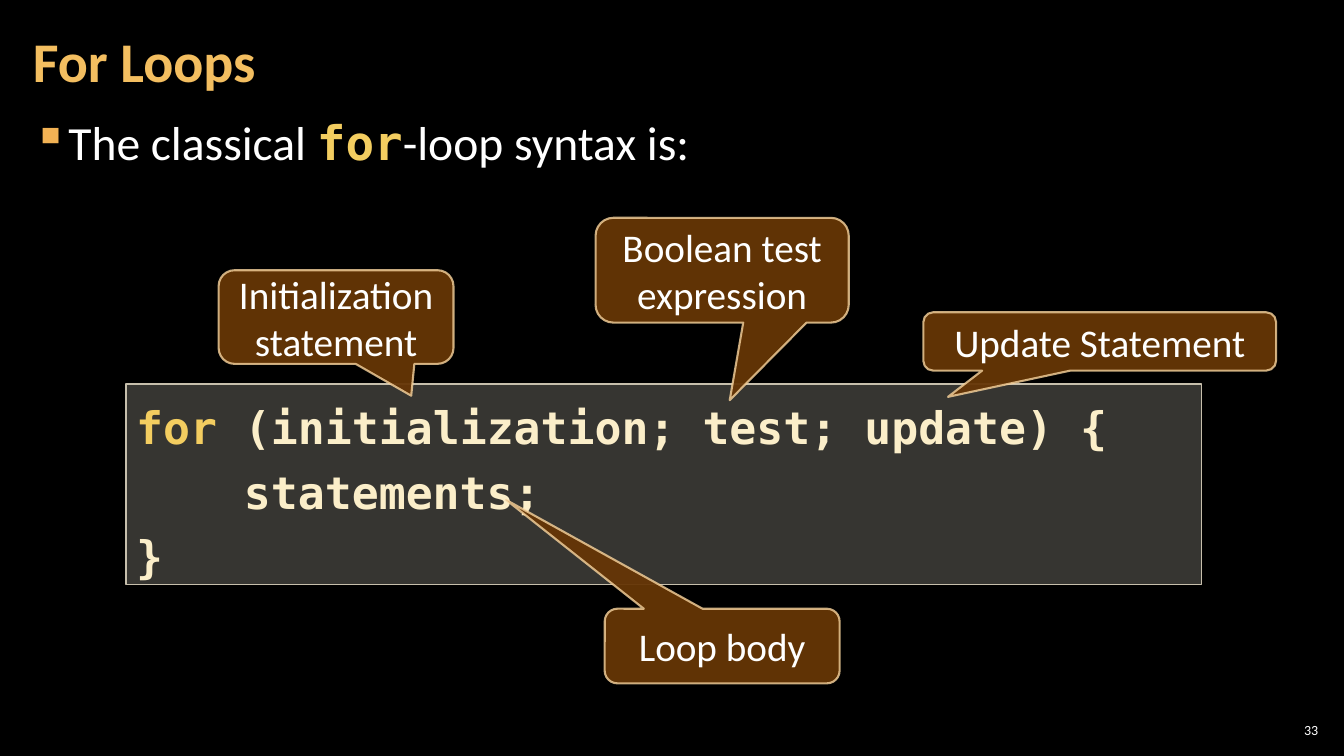
from dataclasses import dataclass

from lxml.etree import SubElement
from pptx import Presentation
from pptx.dml.color import RGBColor
from pptx.enum.shapes import MSO_SHAPE as Preset
from pptx.enum.text import MSO_ANCHOR as Anchor, MSO_AUTO_SIZE as AutoSize, PP_ALIGN as Align
from pptx.oxml.ns import qn
from pptx.util import Cm, Pt

TEXT_FONT = "Calibri"
CODE_FONT = "DejaVu Sans Mono"
WHITE = "FFFFFF"
KEYWORD = "F3CD60"
TIGHT = (0.1, 0.1)
ROOMY = (0.3, 0.1)
NORMAL = (0.25, 0.13)


@dataclass
class Box:
    left: float
    top: float
    width: float
    height: float

    def lengths(self) -> list:
        return [Cm(value) for value in (self.left, self.top, self.width, self.height)]


@dataclass
class TextRun:
    text: str
    size: float
    color: str = WHITE
    font: str = TEXT_FONT
    bold: bool = False


@dataclass
class Callout:
    """A labelled balloon; the tip is offset from its centre in fractions of its size."""
    label: str
    box: Box
    tip_x: float
    tip_y: float


CALLOUTS = [
    Callout("Initialization statement", Box(5.51, 6.81, 5.92, 2.36), 0.32, 0.84),
    Callout("Boolean test expression", Box(15.01, 5.49, 6.38, 2.64), 0.03, 1.24),
    Callout("Update Statement", Box(23.27, 7.87, 8.89, 1.47), -0.43, 0.95),
    Callout("Loop body", Box(15.24, 15.34, 5.92, 1.88), -0.92, -1.96),
]


def rgb(color: str) -> RGBColor:
    return RGBColor.from_string(color)


def set_attributes(target, values: dict) -> None:
    for name, value in values.items():
        setattr(target, name, value)


def set_opacity(properties, percent: int) -> None:
    """Apply opacity to the solid fill directly inside a shape's or line's XML."""
    color = properties.find(qn("a:solidFill")).find(qn("a:srgbClr"))
    SubElement(color, qn("a:alpha"), val=str(percent * 1000))


def write_text(shape, runs: list[TextRun], insets: tuple = NORMAL,
               anchor=Anchor.MIDDLE, **paragraph_format):
    """Fill a shape with one paragraph, turning newlines into line breaks."""
    across, down = map(Cm, insets)
    frame = shape.text_frame
    set_attributes(frame, dict(word_wrap=True, vertical_anchor=anchor,
                               margin_left=across, margin_right=across,
                               margin_top=down, margin_bottom=down))
    paragraph = frame.paragraphs[0]
    set_attributes(paragraph, {"alignment": Align.LEFT, **paragraph_format})
    for item in runs:
        for index, line in enumerate(item.text.split("\n")):
            if index:
                paragraph.add_line_break()
            run = paragraph.add_run()
            run.text = line
            set_attributes(run.font, dict(size=Pt(item.size), name=item.font, bold=item.bold))
            run.font.color.rgb = rgb(item.color)
    return paragraph


def add_panel(slide, preset, box: Box, fill: str, fill_opacity: int,
              line: str, line_width: float, line_opacity: int = 100):
    shape = slide.shapes.add_shape(preset, *box.lengths())
    shape.shadow.inherit = False
    shape.fill.solid()
    shape.fill.fore_color.rgb = rgb(fill)
    shape.line.color.rgb = rgb(line)
    shape.line.width = Pt(line_width)
    properties = shape.element.spPr
    set_opacity(properties, fill_opacity)
    set_opacity(properties.find(qn("a:ln")), line_opacity)
    return shape


def add_callout(slide, callout: Callout) -> None:
    shape = add_panel(slide, Preset.ROUNDED_RECTANGULAR_CALLOUT, callout.box,
                      "663606", 95, "F8D49E", 1.5, 80)
    for index, value in enumerate((callout.tip_x, callout.tip_y, 0.17)):
        shape.adjustments[index] = value
    write_text(shape, [TextRun(callout.label, 28)], alignment=Align.CENTER)


def add_bullet(paragraph, symbol: str, color: str, indent: float) -> None:
    properties = paragraph._p.get_or_add_pPr()
    properties.set("marL", str(Cm(indent)))
    properties.set("indent", str(-Cm(indent)))
    bullet_color = SubElement(properties, qn("a:buClr"))
    SubElement(bullet_color, qn("a:srgbClr"), val=color)
    SubElement(properties, qn("a:buChar"), char=symbol)


def add_code(slide) -> None:
    shape = add_panel(slide, Preset.RECTANGLE, Box(3.18, 9.68, 27.1, 5.05),
                      "D9D5C7", 25, "C7BFAC", 1)
    code = " (initialization; test; update) {\n    statements;\n}"
    write_text(shape, [TextRun("for", 32, KEYWORD, CODE_FONT, True),
                       TextRun(code, 32, "FBEEC9", CODE_FONT, True)],
               anchor=Anchor.TOP, line_spacing=1.2)
    shape.text_frame.auto_size = AutoSize.SHAPE_TO_FIT_TEXT


def main() -> None:
    presentation = Presentation()
    set_attributes(presentation, dict(slide_width=Cm(33.87), slide_height=Cm(19.05)))
    slide = presentation.slides.add_slide(presentation.slide_layouts[6])
    slide.background.fill.solid()
    slide.background.fill.fore_color.rgb = rgb("000000")

    body = slide.shapes.add_textbox(*Box(0.53, 2.74, 32.79, 15.67).lengths())
    syntax = write_text(body, [TextRun("The classical ", 34),
                               TextRun("for", 34, KEYWORD, CODE_FONT, True),
                               TextRun("-loop syntax is:", 34)],
                        ROOMY, Anchor.TOP, space_after=Pt(6))
    add_bullet(syntax, "▪", "F2B254", 0.84)

    title = slide.shapes.add_textbox(*Box(0.53, 0.1, 26.59, 3.07).lengths())
    write_text(title, [TextRun("For Loops", 40, "F3BE60", bold=True)], ROOMY, line_spacing=0.9)

    add_code(slide)

    number = slide.shapes.add_textbox(*Box(32.13, 18.14, 1.19, 0.53).lengths())
    write_text(number, [TextRun("33", 10)], TIGHT, alignment=Align.RIGHT)

    for callout in CALLOUTS:
        add_callout(slide, callout)
    presentation.save("out.pptx")


if __name__ == "__main__":
    main()
